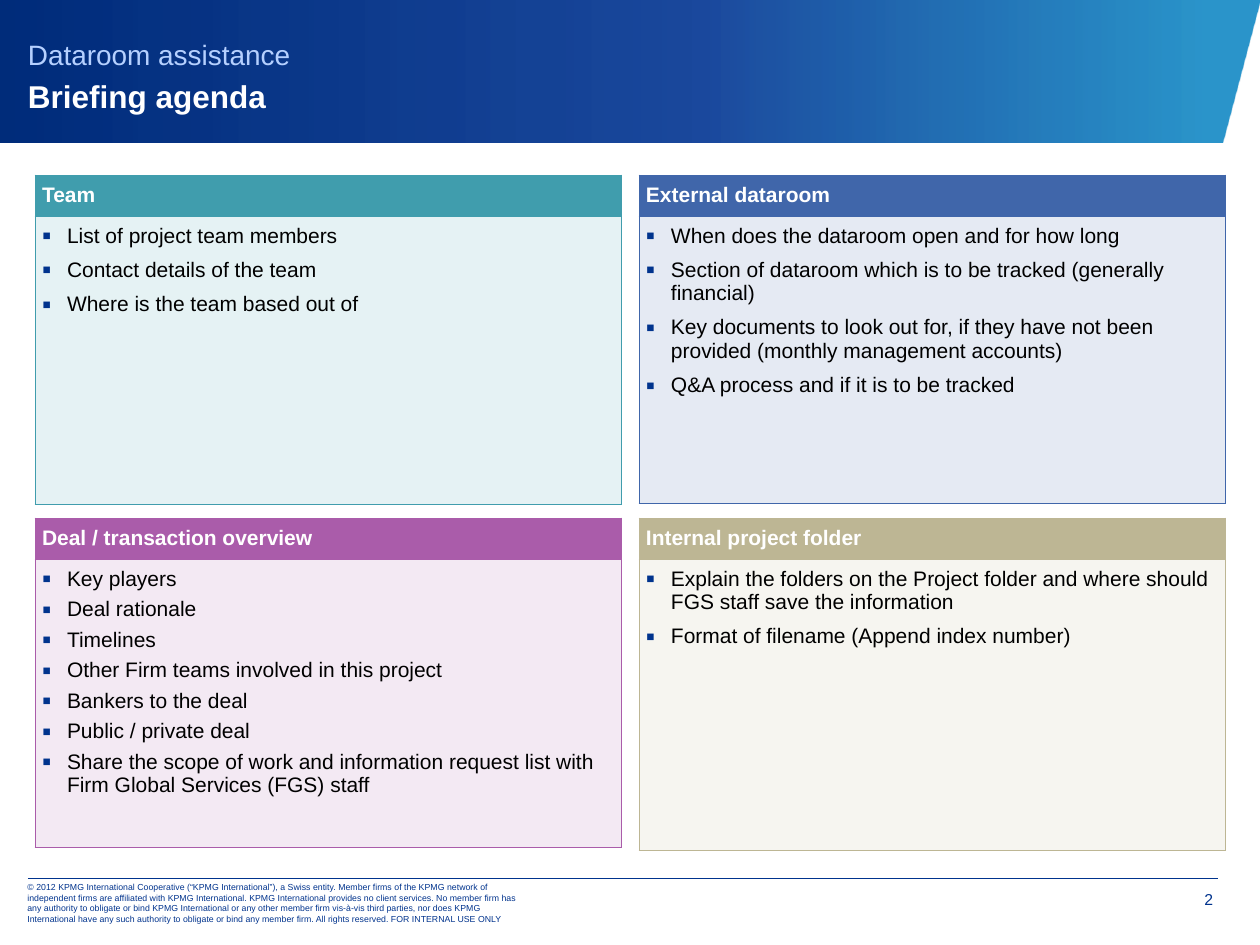
from lxml import etree
from pptx import Presentation
from pptx.dml.color import RGBColor
from pptx.enum.shapes import MSO_CONNECTOR
from pptx.enum.text import MSO_ANCHOR, MSO_AUTO_SIZE, PP_ALIGN
from pptx.oxml import parse_xml
from pptx.oxml.ns import qn
from pptx.util import Emu, Pt

LINE = MSO_CONNECTOR.STRAIGHT
MIDDLE = MSO_ANCHOR.MIDDLE
LEFT = PP_ALIGN.LEFT
RIGHT = PP_ALIGN.RIGHT
FIXED = MSO_AUTO_SIZE.NONE
SCALE = 914400 / 126
NS = 'xmlns:a="http://schemas.openxmlformats.org/drawingml/2006/main"'

NAVY = RGBColor(0x00, 0x33, 0x8D)
PALE = RGBColor(0xB5, 0xD0, 0xFF)
WHITE = RGBColor(0xFF, 0xFF, 0xFF)
BLACK = RGBColor(0x00, 0x00, 0x00)
TEAL = RGBColor(0x40, 0x9D, 0xAD)
MINT = RGBColor(0xE5, 0xF2, 0xF4)
BLUE = RGBColor(0x40, 0x66, 0xAA)
ICE = RGBColor(0xE5, 0xEA, 0xF3)
PLUM = RGBColor(0xAA, 0x5C, 0xAA)
LILAC = RGBColor(0xF3, 0xE9, 0xF3)
SAND = RGBColor(0xBD, 0xB6, 0x94)
CREAM = RGBColor(0xF6, 0xF5, 0xF0)
STOPS = [
    (4, RGBColor(0x00, 0x80, 0xC0), 83),
    (44, RGBColor(0x00, 0x34, 0x92), 89),
    (100, RGBColor(0x00, 0x2C, 0x7A), 100),
]


def px(*nums):
    return [Emu(round(n * SCALE)) for n in nums]


def add_run(para, text, size, color, bold=False):
    run = para.add_run()
    run.text = text
    run.font.name = "Arial"
    run.font.size = Pt(size)
    run.font.bold = bold
    run.font.color.rgb = color


deck = Presentation()
deck.slide_width, deck.slide_height = px(1260, 945)
slide = deck.slides.add_slide(deck.slide_layouts[5])
shapes = slide.shapes

path = shapes.build_freeform(0, 142, scale=SCALE)
path.add_line_segments([(1222, 142), (1260, 0), (0, 0)], close=True)
banner = path.convert_to_shape()
banner.shadow.inherit = False
banner.line.fill.background()
banner.fill.gradient()
banner.fill.gradient_angle = 180
grad = banner._element.spPr.find(qn("a:gradFill"))
stops = "".join(
    f'<a:gs pos="{pos * 1000}"><a:srgbClr val="{color}">'
    f'<a:alpha val="{alpha * 1000}"/></a:srgbClr></a:gs>'
    for pos, color, alpha in STOPS
)
grad.replace(grad.find(qn("a:gsLst")), parse_xml(f"<a:gsLst {NS}>{stops}</a:gsLst>"))
grad.find(qn("a:lin")).set("ang", "10800000")

title = shapes.title
title.left, title.top, title.width, title.height = px(28, 16, 1178, 110)
frame = title.text_frame
frame.auto_size = FIXED
frame.word_wrap = True
frame.vertical_anchor = MIDDLE
frame.margin_left = frame.margin_right = frame.margin_top = frame.margin_bottom = 0
para = frame.paragraphs[0]
para.alignment = LEFT
para.line_spacing = Pt(25)
add_run(para, "Dataroom assistance", 16, PALE)
para.add_line_break()
add_run(para, "Briefing agenda", 18, WHITE, True)
shapes._spTree.append(title._element)

rule = shapes.add_connector(LINE, *px(28, 878, 1218, 878))
rule.line.color.rgb = NAVY
rule.line.width = Pt(0.25)
etree.SubElement(rule._element.spPr, qn("a:effectLst"))

frame = shapes.add_textbox(*px(1144, 880, 69, 39)).text_frame
frame.word_wrap = True
frame.margin_left, frame.margin_top = px(10, 10)
frame.margin_right = frame.margin_bottom = 0
para = frame.paragraphs[0]
para.alignment = RIGHT
add_run(para, "2", 9, NAVY)

frame = shapes.add_textbox(*px(15, 881, 523, 44)).text_frame
frame.word_wrap = True
frame.vertical_anchor = MIDDLE
para = frame.paragraphs[0]
para.line_spacing = Pt(6)
add_run(
    para,
    "© 2012 KPMG International Cooperative (“KPMG International”), a Swiss entity. "
    "Member firms of the KPMG network of independent firms are affiliated with KPMG "
    "International. KPMG International provides no client services. No member firm has "
    "any authority to obligate or bind KPMG International or any other member firm "
    "vis-à-vis third parties, nor does KPMG International have any such authority to "
    "obligate or bind any member firm. All rights reserved. FOR INTERNAL USE ONLY",
    5, NAVY,
)

panels = [
    (35, 175, 40, 288, 6, TEAL, MINT, "Team", [
        "List of project team members",
        "Contact details of the team",
        "Where is the team based out of",
    ]),
    (639, 175, 39, 287, 6, BLUE, ICE, "External dataroom", [
        "When does the dataroom open and for how long",
        "Section of dataroom which is to be tracked (generally financial)",
        "Key documents to look out for, if they have not been provided "
        "(monthly management accounts)",
        "Q&A process and if it is to be tracked",
    ]),
    (35, 518, 39, 288, 4, PLUM, LILAC, "Deal / transaction overview", [
        "Key players",
        "Deal rationale",
        "Timelines",
        "Other Firm teams involved in this project",
        "Bankers to the deal",
        "Public / private deal",
        "Share the scope of work and information request list with "
        "Firm Global Services (FGS) staff",
    ]),
    (639, 518, 39, 291, 6, SAND, CREAM, "Internal project folder", [
        "Explain the folders on the Project folder and where should "
        "FGS staff save the information",
        "Format of filename (Append index number)",
    ]),
]

for left, top, head, body, gap, dark, light, name, items in panels:
    table = shapes.add_table(2, 1, *px(left, top, 586, head + body)).table
    table.first_row = table.horz_banding = False
    table.rows[0].height, table.rows[1].height = px(head, body)
    for row, fill in enumerate((dark, light)):
        cell = table.cell(row, 0)
        cell.fill.solid()
        cell.fill.fore_color.rgb = fill
        cell.margin_left, cell.margin_right = px(7, 7)
        cell.margin_top, cell.margin_bottom = px(8, 8)
        for spot, side in enumerate("LRTB"):
            cell._tc.tcPr.insert(spot, parse_xml(
                f'<a:ln{side} {NS} w="6350"><a:solidFill>'
                f'<a:srgbClr val="{dark}"/></a:solidFill></a:ln{side}>'
            ))
    add_run(table.cell(0, 0).text_frame.paragraphs[0], name, 12, WHITE, True)

    frame = table.cell(1, 0).text_frame
    for spot, item in enumerate(items):
        para = frame.add_paragraph() if spot else frame.paragraphs[0]
        props = para._p.get_or_add_pPr()
        props.set("marL", str(px(25)[0]))
        props.set("indent", str(px(-25)[0]))
        for mark in (
            f'<a:buClr {NS}><a:srgbClr val="{NAVY}"/></a:buClr>',
            f'<a:buSzPct {NS} val="125000"/>',
            f'<a:buFont {NS} typeface="Arial"/>',
            f'<a:buChar {NS} char="▪"/>',
        ):
            props.append(parse_xml(mark))
        if spot:
            para.space_before = Pt(gap)
        add_run(para, item, 12, BLACK)

deck.save("out.pptx")
